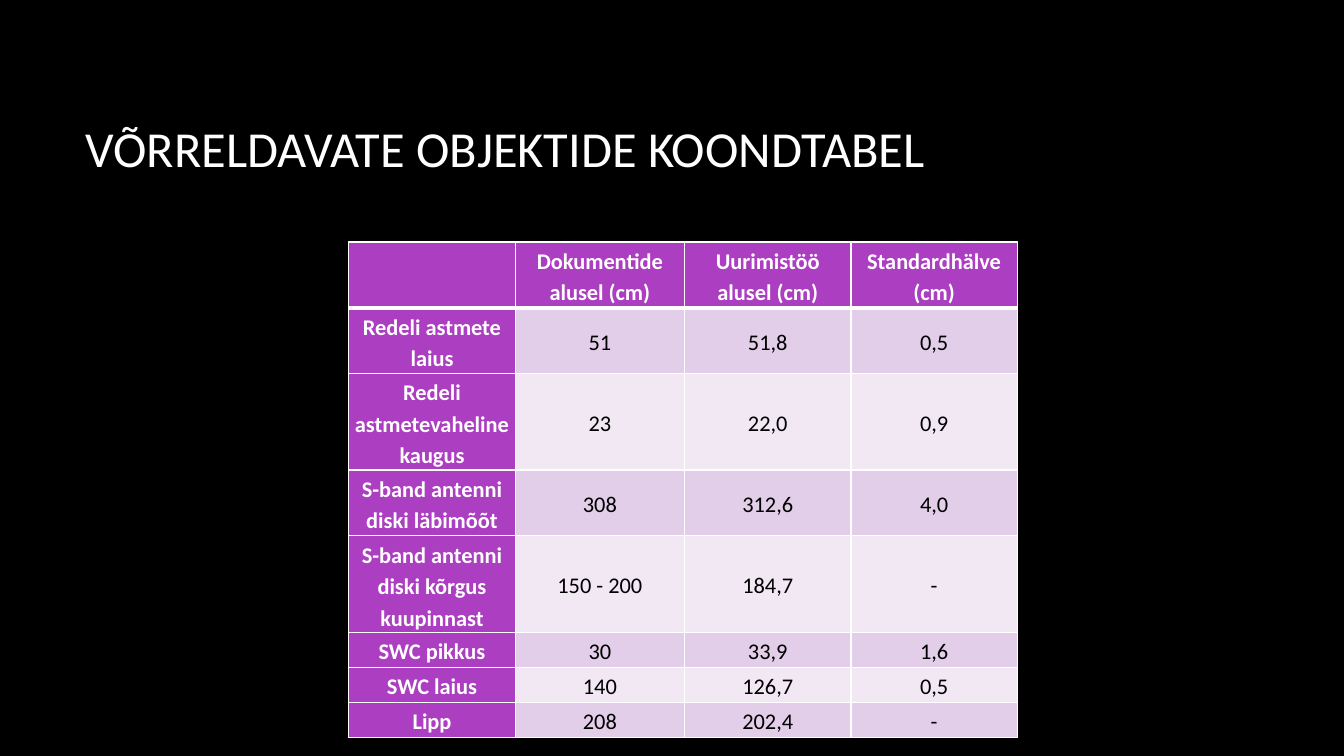
from lxml.etree import SubElement
from pptx import Presentation
from pptx.dml.color import RGBColor
from pptx.enum.text import MSO_ANCHOR as Anchor, PP_ALIGN as Align
from pptx.oxml.ns import qn
from pptx.util import Inches, Pt

BLACK = RGBColor(0x00, 0x00, 0x00)
WHITE = RGBColor(0xFF, 0xFF, 0xFF)
PURPLE = RGBColor(0xAC, 0x3E, 0xC1)
LILAC = RGBColor(0xE3, 0xCE, 0xE9)
PALE_LILAC = RGBColor(0xF1, 0xE8, 0xF4)

FONT = "Calibri"
TITLE = "VÕRRELDAVATE OBJEKTIDE KOONDTABEL"
TITLE_BOX = (0.75, 0.67, 11.08, 1.59)
TABLE_BOX = (3.46, 2.4, 6.63, 4.29)
COLUMN_WIDTHS = (1.65, 1.68, 1.65, 1.65)
ROW_HEIGHTS = (0.57, 0.57, 0.84, 0.57, 0.84, 0.3, 0.3, 0.3)
MEASUREMENTS = (
    ("", "Dokumentide alusel (cm)", "Uurimistöö alusel (cm)", "Standardhälve (cm)"),
    ("Redeli astmete laius", "51", "51,8", "0,5"),
    ("Redeli astmetevaheline kaugus", "23", "22,0", "0,9"),
    ("S-band antenni diski läbimõõt", "308", "312,6", "4,0"),
    ("S-band antenni diski kõrgus kuupinnast", "150 - 200", "184,7", "-"),
    ("SWC pikkus", "30", "33,9", "1,6"),
    ("SWC laius", "140", "126,7", "0,5"),
    ("Lipp", "208", "202,4", "-"),
)


def write_text(frame, text, size, color, bold=False, align=Align.LEFT, spacing=1.0):
    """Write one formatted paragraph into a text frame."""
    frame.word_wrap = True
    paragraph = frame.paragraphs[0]
    paragraph.alignment = align
    paragraph.line_spacing = spacing
    paragraph.font.size = Pt(size)
    if text:
        run = paragraph.add_run()
        run.text = text
        run.font.name = FONT
        run.font.size = Pt(size)
        run.font.bold = bold
        run.font.color.rgb = color


def add_borders(cell, top, bottom):
    """Draw white cell borders, with the top and bottom widths in points."""
    properties = cell._tc.get_or_add_tcPr()
    for side, width in (("L", 1), ("R", 1), ("T", top), ("B", bottom)):
        line = SubElement(properties, qn(f"a:ln{side}"), w=str(Pt(width)))
        fill = SubElement(line, qn("a:solidFill"))
        SubElement(fill, qn("a:srgbClr"), val=str(WHITE))


def add_title(slide, box):
    """Place the slide title in its box."""
    frame = slide.shapes.add_textbox(*map(Inches, box)).text_frame
    frame.vertical_anchor = Anchor.MIDDLE
    write_text(frame, TITLE, size=36, color=WHITE)


def format_cell(cell, text, row, column):
    """Fill and border one table cell, then write its text."""
    heading = row == 0 or column == 0
    add_borders(cell, top=3 if row == 1 else 1, bottom=3 if row == 0 else 1)
    cell.fill.solid()
    band = LILAC if row % 2 else PALE_LILAC
    cell.fill.fore_color.rgb = PURPLE if heading else band
    cell.margin_left = cell.margin_right = Inches(0.03)
    cell.margin_top = cell.margin_bottom = Inches(0.02)
    cell.vertical_anchor = Anchor.BOTTOM if heading and column < 3 else Anchor.MIDDLE
    write_text(cell.text_frame, text, size=16, color=WHITE if heading else BLACK,
               bold=heading, align=Align.CENTER, spacing=1.15)


def add_measurements(slide, box):
    """Place the comparison table in its box."""
    table = slide.shapes.add_table(
        len(ROW_HEIGHTS), len(COLUMN_WIDTHS), *map(Inches, box)).table
    for column, width in zip(table.columns, COLUMN_WIDTHS):
        column.width = Inches(width)
    for row, height in zip(table.rows, ROW_HEIGHTS):
        row.height = Inches(height)
    for row, texts in enumerate(MEASUREMENTS):
        for column, text in enumerate(texts):
            format_cell(table.cell(row, column), text, row, column)


def main():
    """Build and save the presentation."""
    presentation = Presentation()
    presentation.slide_width = Inches(13.33)
    presentation.slide_height = Inches(7.5)
    slide = presentation.slides.add_slide(presentation.slide_layouts[6])
    slide.background.fill.solid()
    slide.background.fill.fore_color.rgb = BLACK
    add_title(slide, TITLE_BOX)
    add_measurements(slide, TABLE_BOX)
    presentation.save("out.pptx")


if __name__ == "__main__":
    main()
